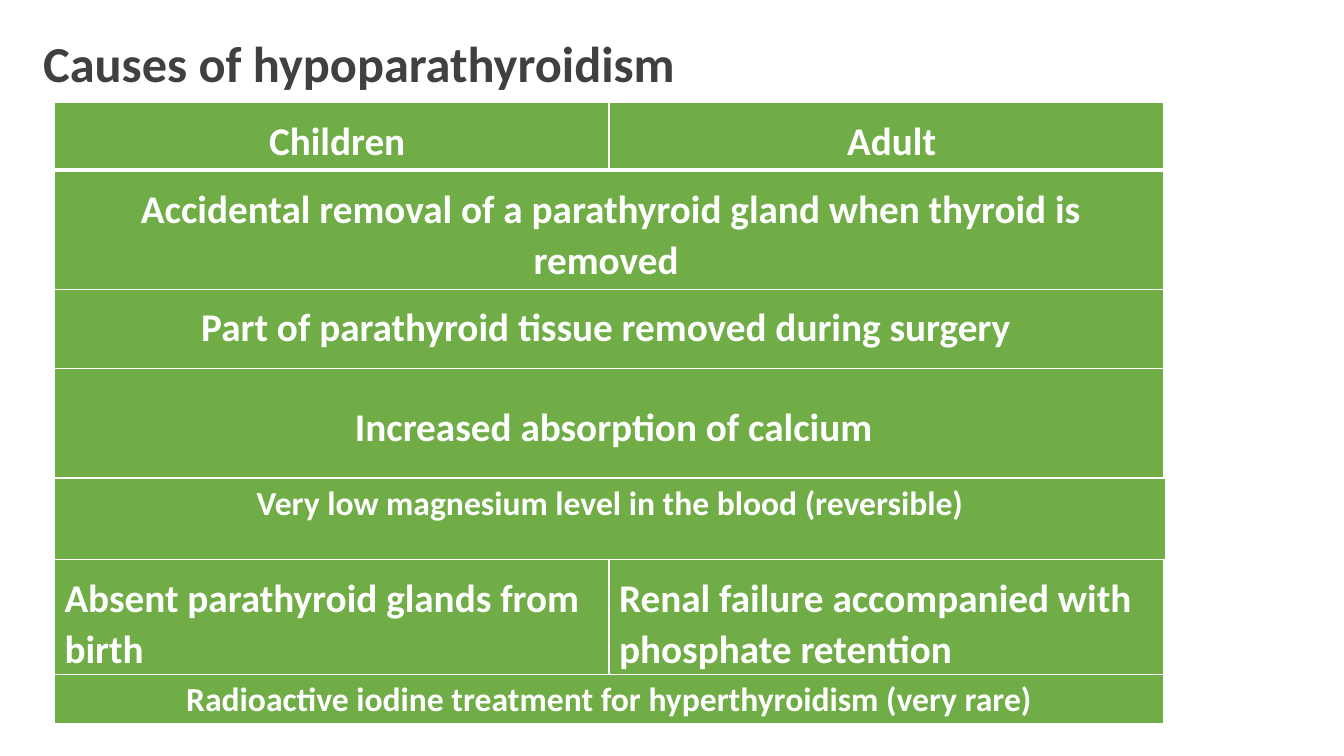
from lxml import etree
from pptx import Presentation
from pptx.dml.color import RGBColor
from pptx.enum.text import MSO_ANCHOR, PP_ALIGN
from pptx.oxml.ns import qn
from pptx.util import Inches, Pt

GREEN = RGBColor(0x70, 0xAD, 0x47)
WHITE = RGBColor(0xFF, 0xFF, 0xFF)
DARK_GREY = RGBColor(0x40, 0x40, 0x40)
LEFT, CENTER = PP_ALIGN.LEFT, PP_ALIGN.CENTER
TOP, MIDDLE, BOTTOM = MSO_ANCHOR.TOP, MSO_ANCHOR.MIDDLE, MSO_ANCHOR.BOTTOM
TABLE_LEFT = 0.54
LARGE = {"size": 28, "line_spacing": 1.07, "space_after": 8,
         "margins": (0.1, 0.12, 0.08, 0.05)}
SMALL = {"size": 24, "line_spacing": 1.0, "space_after": 0,
         "margins": (0.1, 0.05, 0.1, 0.05)}


def style_text(paragraph, size, color):
    font = paragraph.runs[0].font
    for name, value in {"name": "Calibri", "size": Pt(size), "bold": True}.items():
        setattr(font, name, value)
    font.color.rgb = color


def draw_borders(cell, bottom_width):
    """Give the cell white borders, 1 pt except for the bottom one."""
    properties = cell._tc.get_or_add_tcPr()
    for side, width in (("L", 1), ("R", 1), ("T", 1), ("B", bottom_width)):
        line = etree.SubElement(properties, qn(f"a:ln{side}"), w=str(Pt(width)))
        fill = etree.SubElement(line, qn("a:solidFill"))
        etree.SubElement(fill, qn("a:srgbClr"), val=str(WHITE))


prs = Presentation()
prs.slide_width, prs.slide_height = Inches(13.33), Inches(7.5)
slide = prs.slides.add_slide(prs.slide_layouts[6])

title_box = slide.shapes.add_textbox(Inches(0.33), Inches(0.34), Inches(11.87), Inches(0.65))
title_box.text_frame.word_wrap = True
title = title_box.text_frame.paragraphs[0]
title.text = "Causes of hypoparathyroidism"
title.line_spacing = 0.9
style_text(title, 36, DARK_GREY)

# Each row: height, cell texts, alignment, anchor, bottom border, indent, format
shared_causes = [
    (0.67, [" Children", " Adult"], CENTER, BOTTOM, 3, 0, LARGE),
    (1.18, ["Accidental removal of a parathyroid gland when thyroid is removed "],
     CENTER, MIDDLE, 1, 0.01, LARGE),
    (0.79, ["Part of parathyroid tissue removed during surgery "], CENTER, TOP, 1, 0, LARGE),
    (1.08, [" Increased absorption of calcium "], CENTER, MIDDLE, 1, 0.07,
     {**LARGE, "space_after": 1.2}),
]
low_magnesium = [
    (0.8, ["Very low magnesium level in the blood (reversible)"], CENTER, TOP, 1, 0, SMALL),
]
age_specific_causes = [
    (1.15, ["Absent parathyroid glands from birth",
            "Renal failure accompanied with phosphate retention"], LEFT, TOP, 3, 0, LARGE),
]
iodine_treatment = [
    (0.5, ["Radioactive iodine treatment for hyperthyroidism (very rare)"],
     CENTER, TOP, 3, 0, SMALL),
]

# Each table: top, width, number of columns, rows
for top, width, column_count, rows in (
    (1.02, 11, 2, shared_causes),
    (4.75, 11.02, 1, low_magnesium),
    (5.55, 11, 2, age_specific_causes),
    (6.69, 11, 1, iodine_treatment),
):
    height = sum(row[0] for row in rows)
    table = slide.shapes.add_table(len(rows), column_count, Inches(TABLE_LEFT), Inches(top),
                                   Inches(width), Inches(height)).table
    table.first_row = table.horz_banding = False
    for r, (row_height, texts, alignment, anchor, bottom_width, indent, look) in enumerate(rows):
        table.rows[r].height = Inches(row_height)
        for c in range(column_count):
            cell = table.cell(r, c)
            draw_borders(cell, bottom_width)
            cell.fill.solid()
            cell.fill.fore_color.rgb = GREEN
        if len(texts) < column_count:
            table.cell(r, 0).merge(table.cell(r, column_count - 1))
        for c, text in enumerate(texts):
            cell = table.cell(r, c)
            cell.vertical_anchor = anchor
            for side, margin in zip(("left", "top", "right", "bottom"), look["margins"]):
                setattr(cell, f"margin_{side}", Inches(margin))
            cause = cell.text_frame.paragraphs[0]
            cause.text = text
            cause.alignment = alignment
            cause.line_spacing = look["line_spacing"]
            cause.space_after = Pt(look["space_after"])
            if indent:
                cause._p.get_or_add_pPr().set("marL", str(Inches(indent)))
            style_text(cause, look["size"], WHITE)

prs.save("out.pptx")
